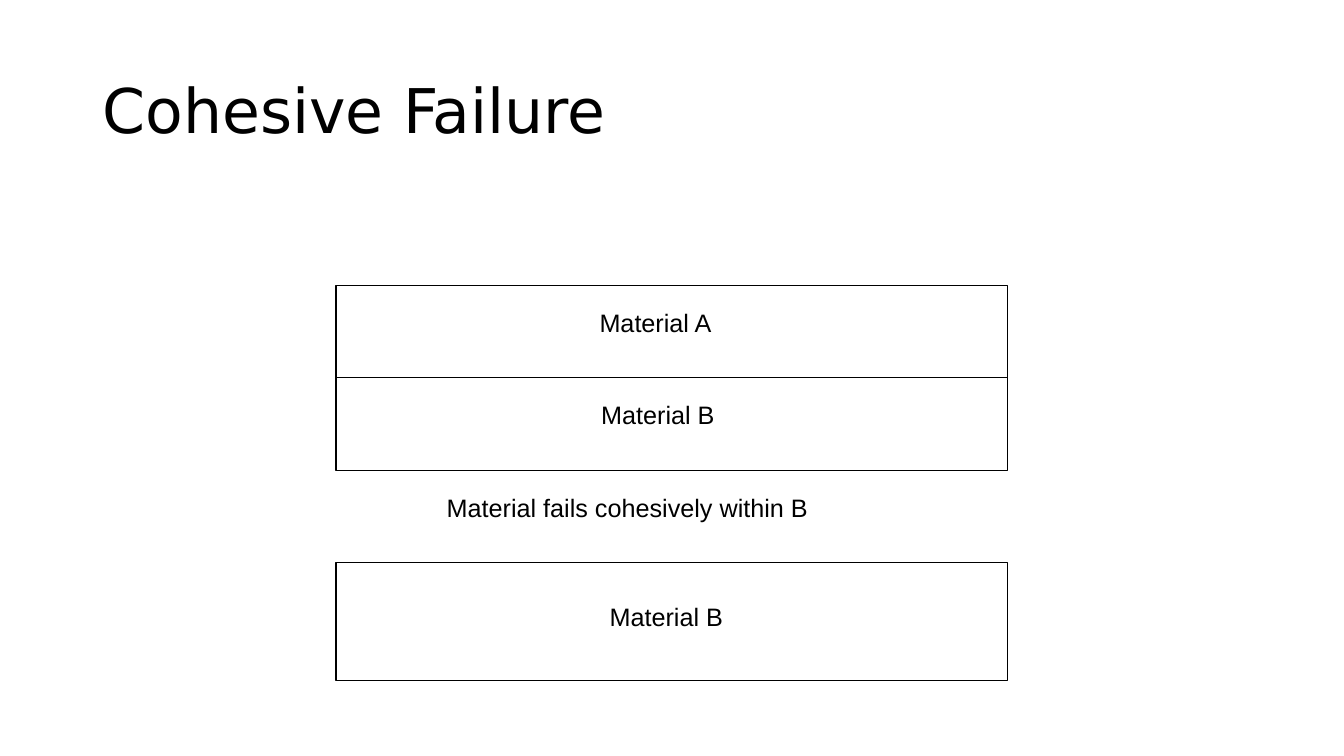
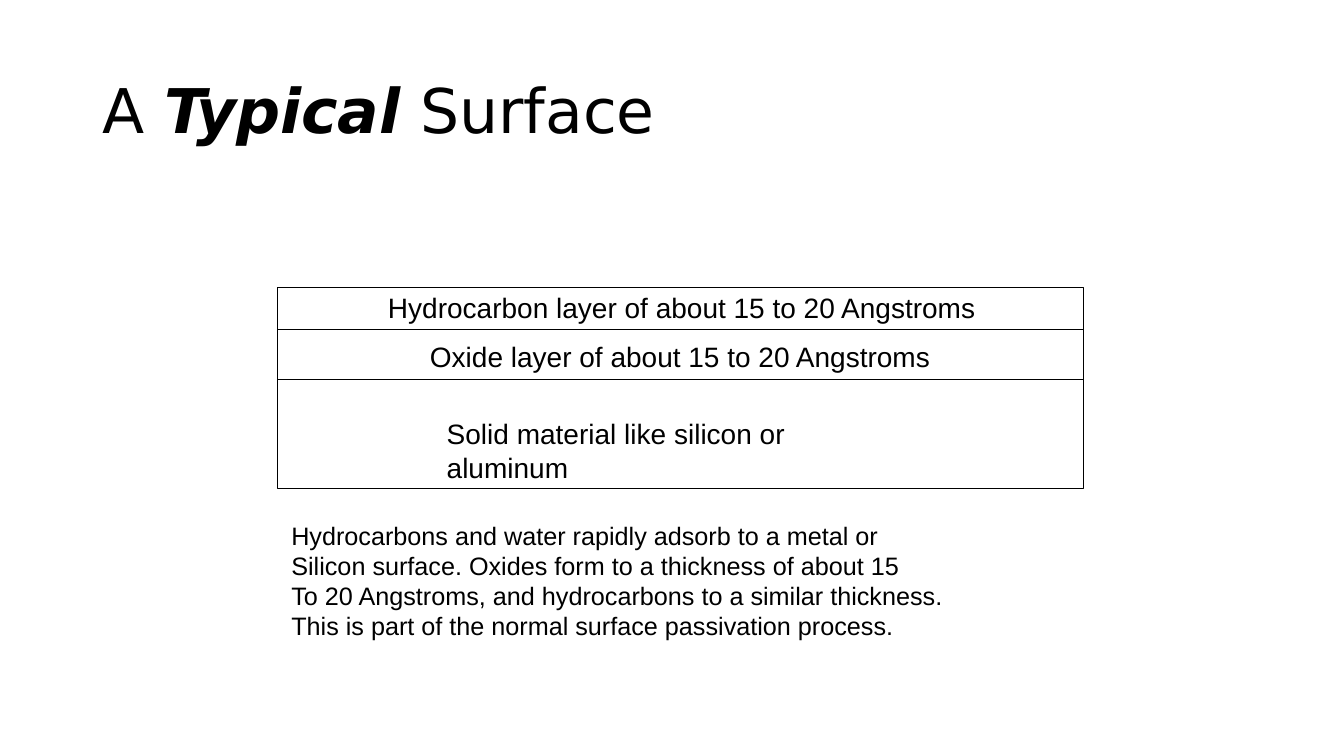
import dataclasses

import pptx
import pptx.dml.color
import pptx.enum.shapes
import pptx.enum.text
import pptx.util


@dataclasses.dataclass(frozen=True)
class Theme:
    ink: pptx.dml.color.RGBColor = pptx.dml.color.RGBColor(0, 0, 0)
    title_font: str = "DejaVu Sans"
    body_font: str = "Arial"
    title_size: int = 44
    label_size: int = 18
    large_label_size: int = 20
    outline: float = 0.75


THEME = Theme()
COLUMNS, ROWS = 160, 90
CELLS_PER_INCH = 12
TITLE_ONLY = 5


def cells(count):
    return pptx.util.Inches(count / CELLS_PER_INCH)


def add_run(paragraph, text, font_name, size, emphasis=False):
    run = paragraph.add_run()
    run.text = text
    run.font.name = font_name
    run.font.size = pptx.util.Pt(size)
    run.font.color.rgb = THEME.ink
    if emphasis:
        run.font.bold = run.font.italic = True


def add_titled_slide(deck, *title_parts):
    """Each title part is a pair: text, and whether it is emphasised."""
    slide = deck.slides.add_slide(deck.slide_layouts[TITLE_ONLY])
    title = slide.shapes.title
    title.left, title.top = cells(11), cells(4.8)
    title.width, title.height = cells(138), cells(17.4)
    frame = title.text_frame
    frame.vertical_anchor = pptx.enum.text.MSO_ANCHOR.MIDDLE
    heading = frame.paragraphs[0]
    heading.alignment = pptx.enum.text.PP_ALIGN.LEFT
    heading.line_spacing = 0.9
    for text, emphasis in title_parts:
        add_run(heading, text, THEME.title_font, THEME.title_size, emphasis)
    return slide


def add_layers(slide, column, row, width, heights):
    """Stack outlined layers downwards from the given row."""
    for height in heights:
        layer = slide.shapes.add_shape(
            pptx.enum.shapes.MSO_SHAPE.RECTANGLE,
            cells(column), cells(row), cells(width), cells(height))
        layer.shadow.inherit = False
        layer.fill.background()
        layer.line.color.rgb = THEME.ink
        layer.line.width = pptx.util.Pt(THEME.outline)
        row += height


def add_label(slide, lines, column, row, width, size=THEME.label_size):
    height = 1.2 + 0.2 * size * len(lines)
    label = slide.shapes.add_textbox(
        cells(column), cells(row), cells(width), cells(height))
    frame = label.text_frame
    frame.word_wrap = True
    for index, line in enumerate(lines):
        paragraph = frame.add_paragraph() if index else frame.paragraphs[0]
        add_run(paragraph, line, THEME.body_font, size)


def build_cohesive_failure(deck):
    slide = add_titled_slide(deck, ("Cohesive Failure", False))
    left, width = COLUMNS / 4, COLUMNS / 2
    add_layers(slide, left, 34, width, [11, 11])
    add_layers(slide, left, 67, width, [14])
    add_label(slide, ["Material A"], 70.2, 36, 17)
    add_label(slide, ["Material B"], 70.4, 47, 17)
    add_label(slide, ["Material B"], 71.4, 71, 17)
    add_label(slide, ["Material fails cohesively within B"], 52, 58, 47)


def build_typical_surface(deck):
    slide = add_titled_slide(
        deck, ("A ", False), ("Typical", True), (" Surface", False))
    large = THEME.large_label_size
    add_layers(slide, 33, 34.2, 96, [5, 6, 13])
    add_label(slide, ["Hydrocarbon layer of about 15 to 20 Angstroms"],
              45, 34, 74, large)
    add_label(slide, ["Oxide layer of about 15 to 20 Angstroms"],
              50, 39.8, 64, large)
    add_label(slide, ["Solid material like silicon or aluminum"],
              52, 49, 55, large)
    add_label(slide, [
        "Hydrocarbons and water rapidly adsorb to a metal or",
        "Silicon surface. Oxides form to a thickness of about 15",
        "To 20 Angstroms, and hydrocarbons to a similar thickness.",
        "This is part of the normal surface passivation process.",
    ], 33.5, 61.3, 82)


def main():
    deck = pptx.Presentation()
    deck.slide_width, deck.slide_height = cells(COLUMNS), cells(ROWS)
    build_cohesive_failure(deck)
    build_typical_surface(deck)
    deck.save("out.pptx")


if __name__ == "__main__":
    main()
